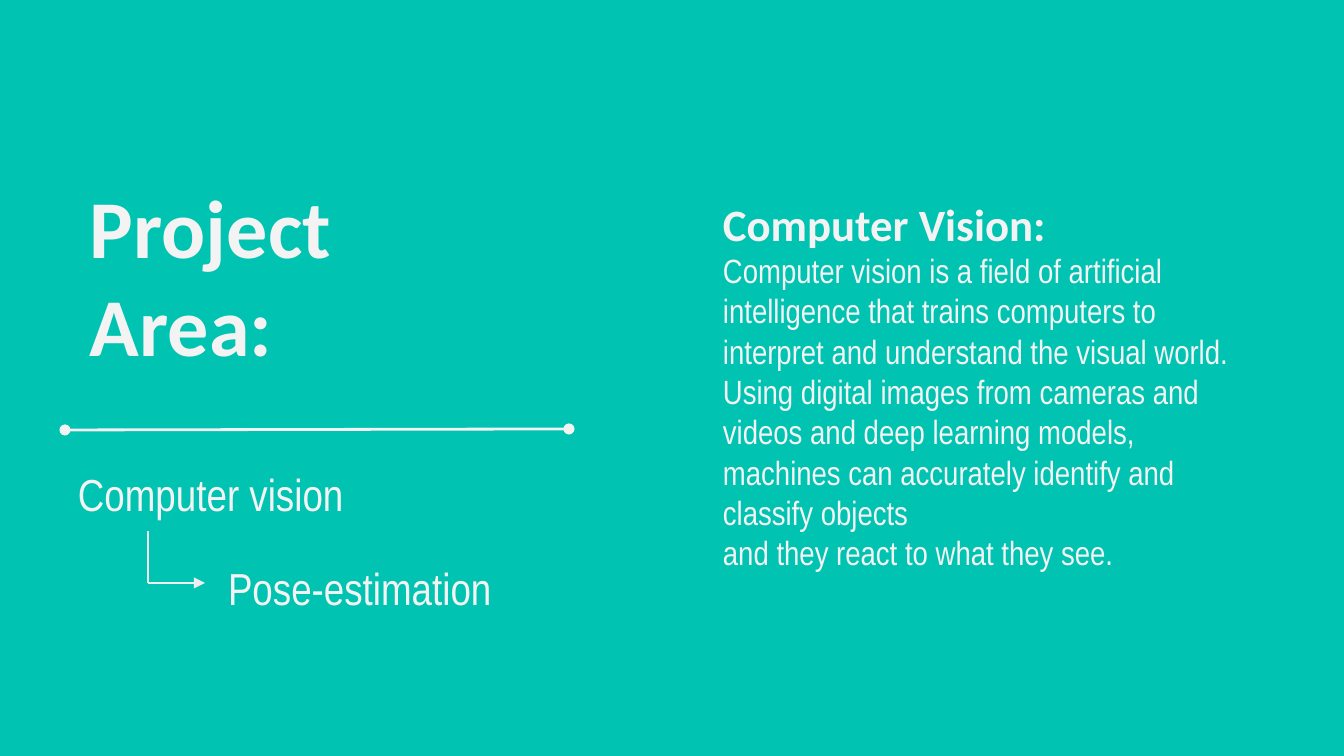
from lxml import etree
from pptx import Presentation
from pptx.dml.color import RGBColor
from pptx.enum import shapes, text
from pptx.oxml.ns import qn
from pptx.util import Emu, Pt

SCALE = 914400 / 134.4
INSET = 13
COLORS = {"background": "00C3B1", "text": "F3F3F3", "elbow": "EEEEEE"}
HEADING = "Calibri"
BODY = "Arial Narrow"


def px(length):
    return Emu(round(length * SCALE))


def color(name):
    return RGBColor.from_string(COLORS[name])


def add_text(page, area, paragraphs, top_inset=INSET, anchor=text.MSO_ANCHOR.TOP):
    box = page.shapes.add_textbox(*map(px, area))
    frame = box.text_frame
    frame.word_wrap = True
    frame.auto_size = text.MSO_AUTO_SIZE.NONE
    frame.vertical_anchor = anchor
    frame.margin_left = frame.margin_right = frame.margin_bottom = px(INSET)
    frame.margin_top = px(top_inset)
    for index, (words, font, size) in enumerate(paragraphs):
        para = frame.add_paragraph() if index else frame.paragraphs[0]
        span = para.add_run()
        span.text = words
        span.font.name = font
        span.font.size = Pt(size)
        span.font.bold = font == HEADING
        span.font.color.rgb = color("text")


def add_line(page, start, end, shade, width, head=None, tail=None):
    line = page.shapes.add_connector(
        shapes.MSO_CONNECTOR.STRAIGHT, *map(px, start + end)
    )
    line.line.color.rgb = color(shade)
    line.line.width = Pt(width)
    outline = line.line._get_or_add_ln()
    for tag, style in (("a:headEnd", head), ("a:tailEnd", tail)):
        if style:
            etree.SubElement(outline, qn(tag), type=style)
    etree.SubElement(line._element.spPr, qn("a:effectLst"))


def add_project_area(page, left, top):
    add_text(page, (left + 12, top, 298, 266), [("Project Area:", HEADING, 44)])
    add_line(page, (left, top + 267), (left + 504, top + 266),
             "text", 1.5, head="oval", tail="oval")


def add_topic_tree(page, left, top):
    add_text(page, (left, top, 425, 77), [("Computer vision", BODY, 24)])
    corner = (left + 83, top + 129)
    add_line(page, (left + 83, top + 77), corner, "elbow", 0.75)
    add_line(page, corner, (left + 140, top + 129), "elbow", 0.75, tail="triangle")
    add_text(page, (left + 150, top + 100, 366, 122),
             [("Pose-estimation", BODY, 24)], top_inset=7)


def add_definition(page, left, top):
    paragraphs = [
        ("Computer Vision:", HEADING, 24),
        ("Computer vision is a field of artificial intelligence that trains "
         "computers to interpret and understand the visual world. Using digital "
         "images from cameras and videos and deep learning models, machines can "
         "accurately identify and classify objects", BODY, 18),
        ("and they react to what they see.", BODY, 18),
    ]
    add_text(page, (left, top, 556, 641), paragraphs,
             top_inset=93, anchor=text.MSO_ANCHOR.MIDDLE)


def main():
    deck = Presentation()
    deck.slide_width, deck.slide_height = px(1344), px(756)
    page = deck.slides.add_slide(deck.slide_layouts[6])
    page.background.fill.solid()
    page.background.fill.fore_color.rgb = color("background")
    add_definition(page, 710, 24)
    add_project_area(page, 65, 163)
    add_topic_tree(page, 65, 454)
    deck.save("out.pptx")


if __name__ == "__main__":
    main()
